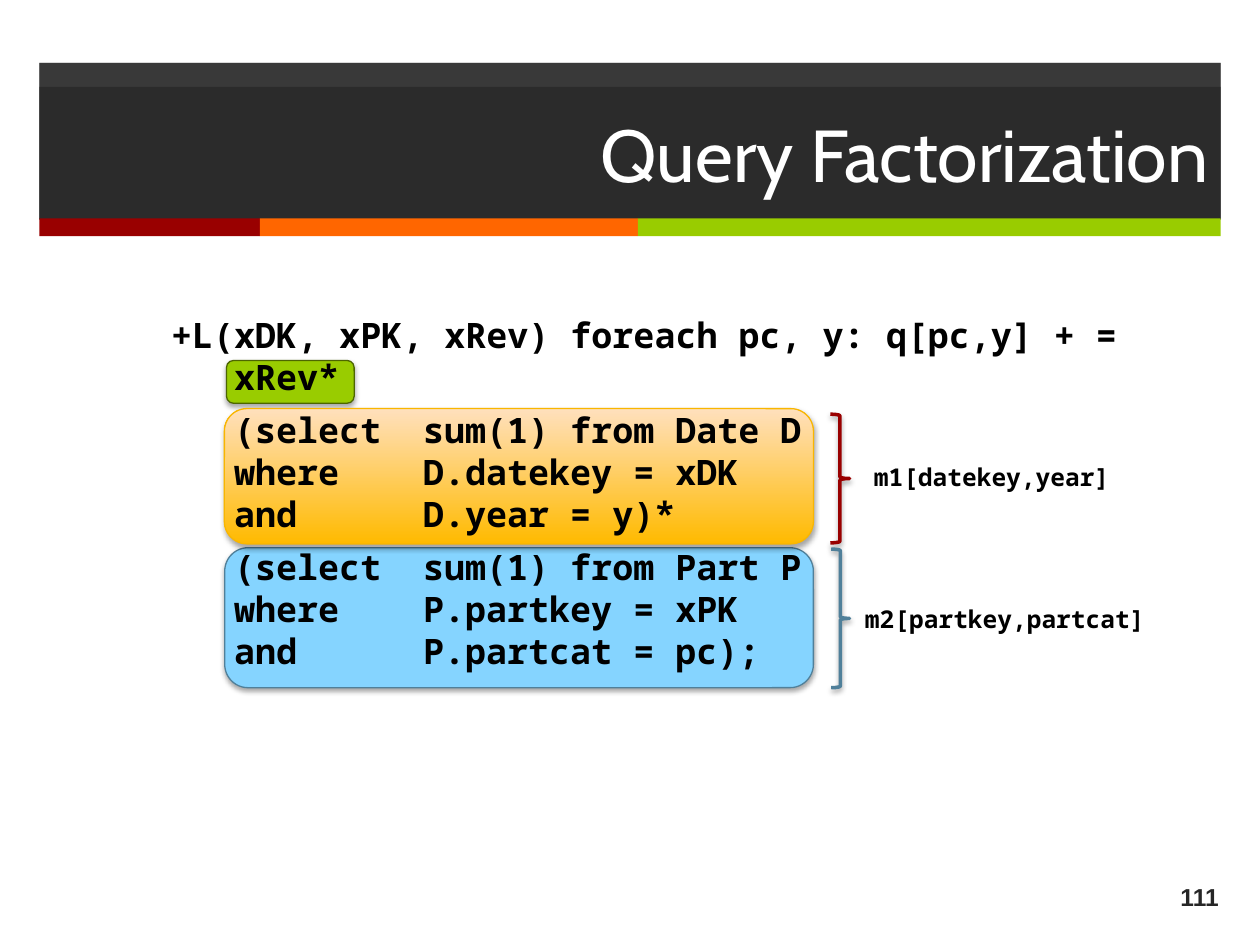
import lxml.etree
import pptx
import pptx.dml.color
import pptx.enum.shapes
import pptx.enum.text
import pptx.oxml
import pptx.oxml.ns
import pptx.util

Pt = pptx.util.Pt
qn = pptx.oxml.ns.qn
SHAPES = pptx.enum.shapes.MSO_SHAPE
ALIGN = pptx.enum.text.PP_ALIGN
ANCHOR = pptx.enum.text.MSO_ANCHOR
AUTO_SIZE = pptx.enum.text.MSO_AUTO_SIZE
MONO = "Noto Sans Mono"


def color(hex_value):
    return pptx.dml.color.RGBColor.from_string(hex_value)


def add_run(paragraph, text, font, size, hex_value, bold=True):
    run = paragraph.add_run()
    run.text = text
    run.font.name = font
    run.font.size = Pt(size)
    run.font.bold = bold
    run.font.color.rgb = color(hex_value)


presentation = pptx.Presentation()
presentation.slide_width = Pt(720)
presentation.slide_height = Pt(540)
slide = presentation.slides.add_slide(presentation.slide_layouts[6])
shapes = slide.shapes

header_left, header_width = 22.5, 675
for top, height in ((36, 89.3), (36, 89.3), (49.7, 76)):
    banner = shapes.add_shape(SHAPES.RECTANGLE, Pt(header_left), Pt(top), Pt(header_width), Pt(height))
    banner.shadow.inherit = False
    banner.fill.solid()
    banner.fill.fore_color.rgb = color("262626")
    solid_color = banner.fill._xPr.find(qn("a:solidFill"))[0]
    lxml.etree.SubElement(solid_color, qn("a:alpha"), val="70000")
    banner.line.fill.background()

banner.text_frame.word_wrap = True
banner.text_frame.vertical_anchor = ANCHOR.MIDDLE
title = banner.text_frame.paragraphs[0]
title.alignment = ALIGN.RIGHT
add_run(title, "Query Factorization", "Cabin", 42, "FFFFFF", False)

stripe_left = header_left
for width, hex_value in ((126, "990000"), (216, "FF6600"), (333, "99CC00")):
    stripe = shapes.add_shape(SHAPES.RECTANGLE, Pt(stripe_left), Pt(124.8), Pt(width), Pt(10.2))
    stripe.shadow.inherit = False
    stripe.fill.solid()
    stripe.fill.fore_color.rgb = color(hex_value)
    stripe.line.fill.background()
    stripe_left += width

highlights = [
    (SHAPES.ROUNDED_RECTANGLE, 129.4, 206, 73, 24.5, ["99CC00"], "4D6600", 0.75),
    (SHAPES.ROUNDED_RECTANGLE, 128.4, 313, 336.4, 80, ["85D4FF"], "50809A", 0.75),
    (SHAPES.ROUNDED_RECTANGLE, 128.2, 233.5, 336.6, 77.3, ["FFBA00", "FFE0BD"], "F9B600", 0.75),
    (SHAPES.RIGHT_BRACE, 474.5, 236.7, 11, 73.6, [], "990000", 2),
    (SHAPES.RIGHT_BRACE, 475, 313.8, 10.5, 79.2, [], "50809A", 2),
]
for kind, left, top, width, height, fills, line_color, line_width in highlights:
    shape = shapes.add_shape(kind, Pt(left), Pt(top), Pt(width), Pt(height))
    if len(fills) == 2:
        shape.fill.gradient()
        shape.fill.gradient_angle = 90
        for stop, hex_value in zip(shape.fill.gradient_stops, fills):
            stop.color.rgb = color(hex_value)
    elif fills:
        shape.fill.solid()
        shape.fill.fore_color.rgb = color(fills[0])
    else:
        shape.fill.background()
    shape.line.color.rgb = color(line_color)
    shape.line.width = Pt(line_width)
    shape.shadow.inherit = False
    effects = shape._element.spPr.find(qn("a:effectLst"))
    shadow = lxml.etree.SubElement(
        effects, qn("a:outerShdw"), blurRad=str(Pt(3.1)), dist=str(Pt(1.8)), dir="5400000", rotWithShape="0")
    shadow_color = lxml.etree.SubElement(shadow, qn("a:srgbClr"), val="000000")
    lxml.etree.SubElement(shadow_color, qn("a:alpha"), val="35000")

query_lines = [
    ("+L(xDK, xPK, xRev) foreach pc, y: q[pc,y] + =", 0, [76.5], 0),
    ("\txRev*", 0, [36], 6),
    ("(select\tsum(1) from Date D", 36, [76.5, 103], 0),
    ("where\t\tD.datekey = xDK", 36, [76.5, 103], 0),
    ("and\t\tD.year = y)*", 36, [76.5, 103], 6),
    ("(select\tsum(1) from Part P", 36, [76.5, 103], 0),
    ("where\t\tP.partkey = xPK", 36, [76.5, 103], 0),
    ("and\t\tP.partcat = pc);", 36, [76.5, 103], 0),
]
query_box = shapes.add_textbox(Pt(90.7), Pt(175.9), Pt(576), Pt(213))
query_box.text_frame.word_wrap = True
query_box.text_frame.auto_size = AUTO_SIZE.SHAPE_TO_FIT_TEXT
for index, (text, indent, tabs, space_after) in enumerate(query_lines):
    frame = query_box.text_frame
    paragraph = frame.add_paragraph() if index else frame.paragraphs[0]
    paragraph.line_spacing = Pt(24)
    paragraph.space_after = Pt(space_after)
    properties = paragraph._p.get_or_add_pPr()
    properties.set("marL", str(Pt(indent)))
    properties.set("indent", "0")
    tab_list = lxml.etree.SubElement(properties, qn("a:tabLst"))
    for position in tabs:
        lxml.etree.SubElement(tab_list, qn("a:tab"), pos=str(Pt(position)), algn="l")
    add_run(paragraph, text, MONO, 20, "000000")

for text, left, top, width in (
    ("m1[datekey,year]", 492.3, 260.5, 151.2),
    ("m2[partkey,partcat]", 487.2, 341.6, 176.4),
):
    label = shapes.add_textbox(Pt(left), Pt(top), Pt(width), Pt(24.2))
    label.text_frame.word_wrap = False
    label.text_frame.auto_size = AUTO_SIZE.SHAPE_TO_FIT_TEXT
    label.text_frame.paragraphs[0].line_spacing = Pt(16.8)
    add_run(label.text_frame.paragraphs[0], text, MONO, 14, "000000")

number_box = shapes.add_textbox(Pt(653.8), Pt(498.5), Pt(49.7), Pt(28))
number_box.text_frame.word_wrap = True
number_box.text_frame.vertical_anchor = ANCHOR.MIDDLE
number_box.text_frame.paragraphs[0].alignment = ALIGN.RIGHT
add_run(number_box.text_frame.paragraphs[0], "111", "Arial", 14, "262626")

presentation.save("out.pptx")
